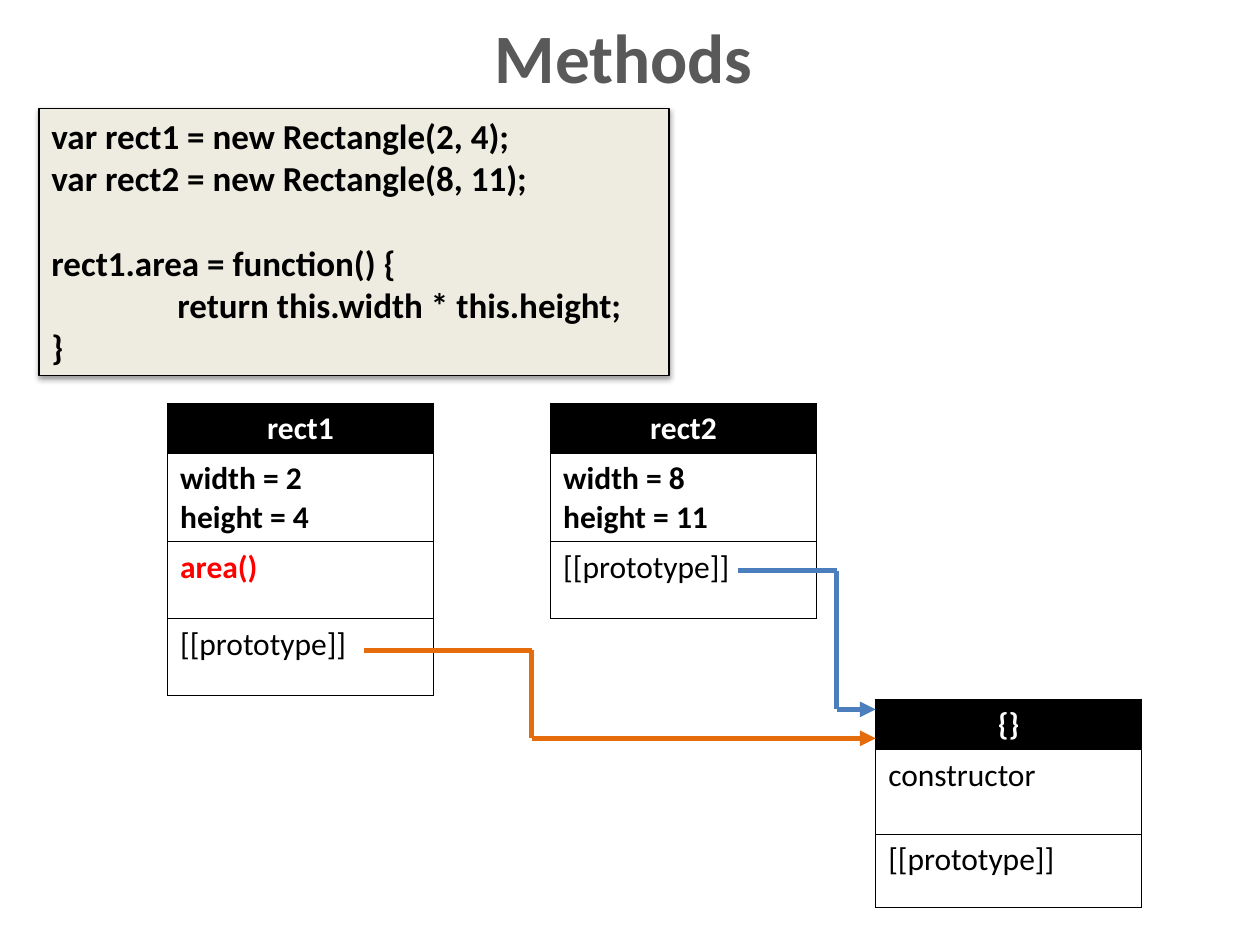
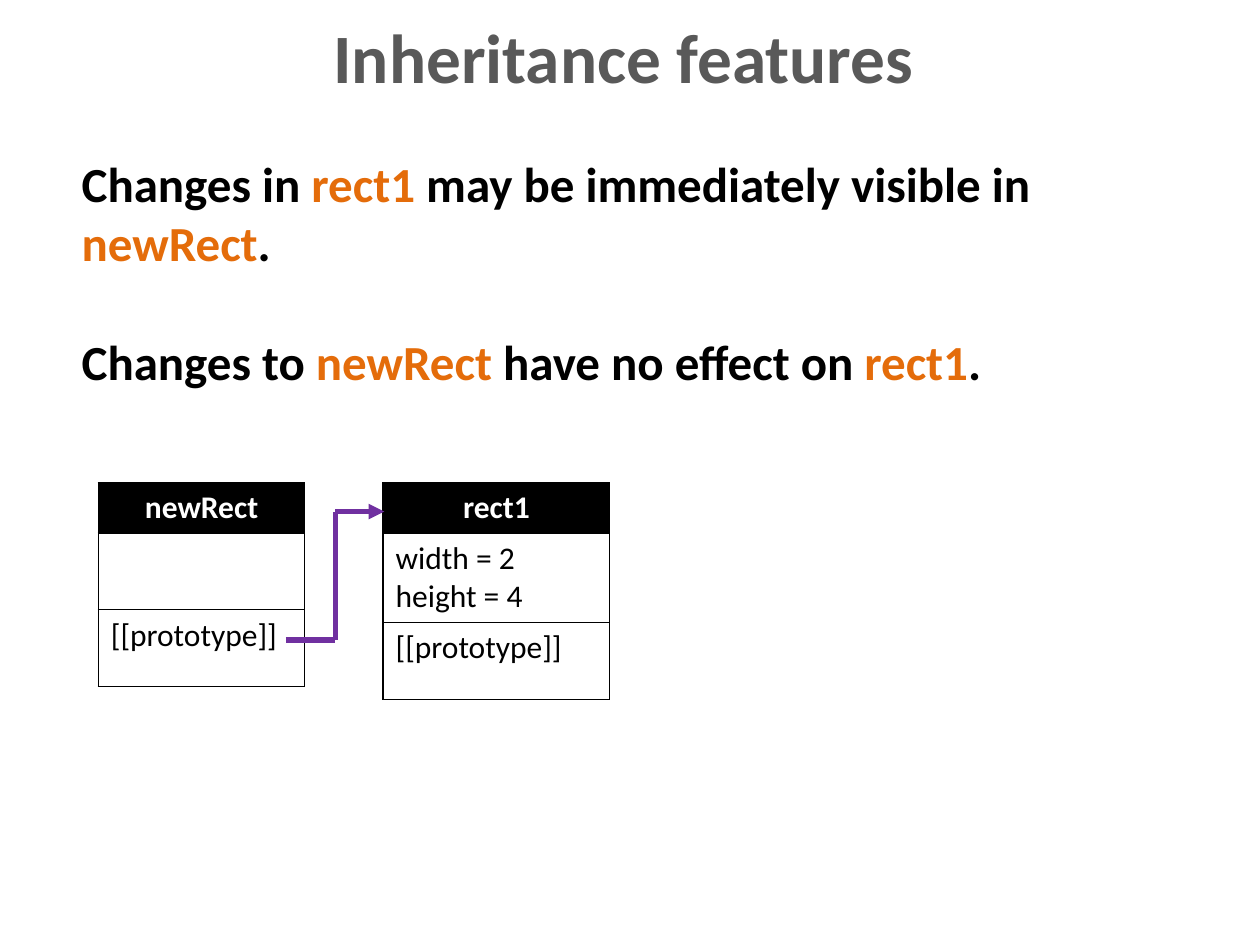
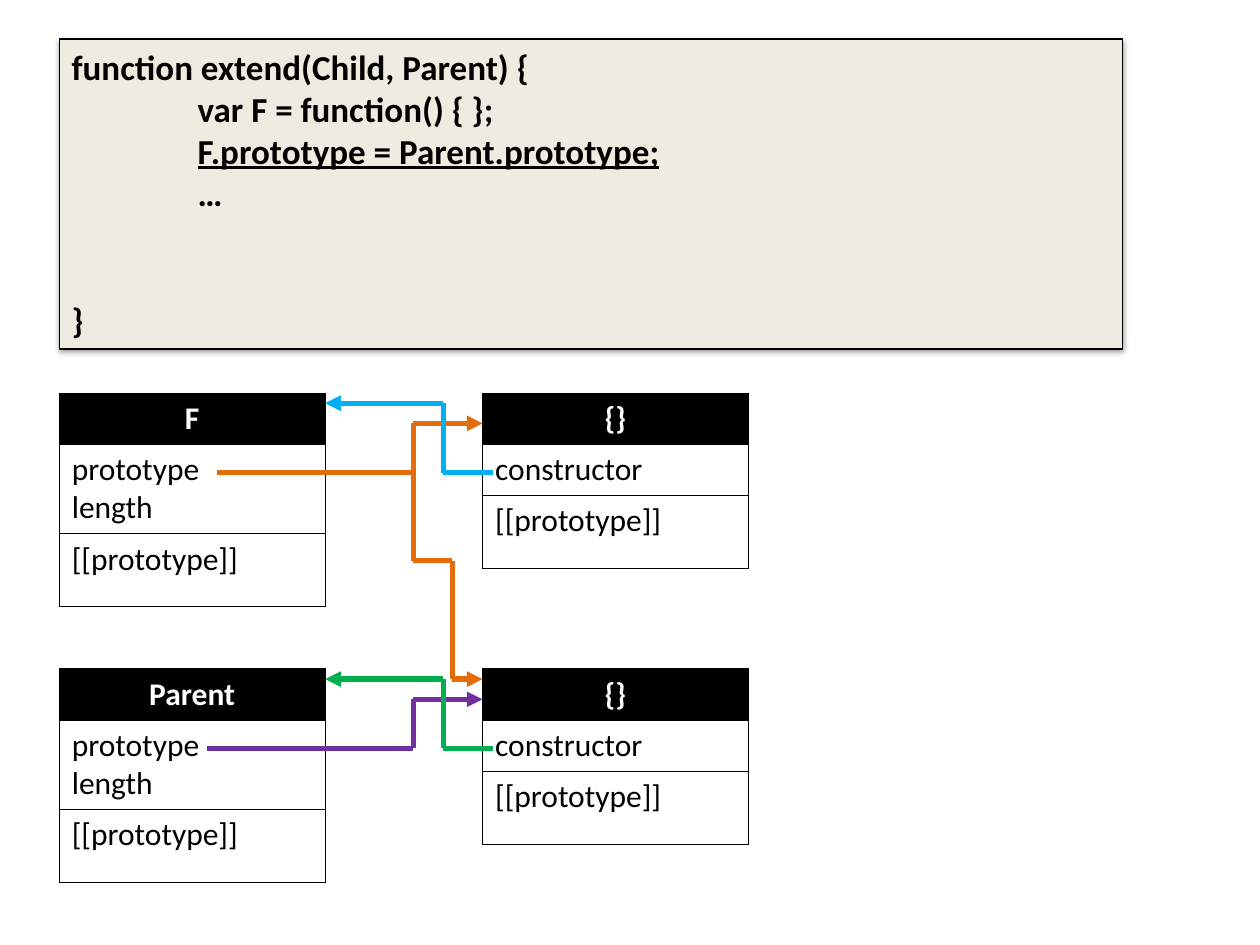
from dataclasses import dataclass
from typing import NamedTuple

from lxml.etree import SubElement
from pptx import Presentation
from pptx.dml.color import RGBColor
from pptx.enum.shapes import MSO_CONNECTOR, MSO_SHAPE
from pptx.enum.text import MSO_ANCHOR, PP_ALIGN
from pptx.oxml import parse_xml
from pptx.oxml.ns import nsdecls, qn
from pptx.util import Inches, Pt

# Shared style
FONT = "Calibri"
BLACK = RGBColor(0x00, 0x00, 0x00)
WHITE = RGBColor(0xFF, 0xFF, 0xFF)
GRAY = RGBColor(0x59, 0x59, 0x59)
CREAM = RGBColor(0xEE, 0xEC, 0xE1)
RED = RGBColor(0xFF, 0x00, 0x00)
ORANGE = RGBColor(0xE4, 0x6C, 0x0A)
BLUE = RGBColor(0x4B, 0x7E, 0xBC)
SKY = RGBColor(0x00, 0xB0, 0xF0)
PURPLE = RGBColor(0x70, 0x30, 0xA0)
GREEN = RGBColor(0x00, 0xB0, 0x50)

TITLE_SIZE, BODY_SIZE, CODE_SIZE, CELL_SIZE = 39.6, 28, 20, 18
LINE_HEIGHT = 1.22
HEADER_HEIGHT = 0.4
OBJECT_WIDTH = 2.11


class Span(NamedTuple):
    text: str
    color: RGBColor = BLACK
    bold: bool = True
    underline: bool = False


class Line(NamedTuple):
    spans: tuple[Span, ...]
    lines_before: int = 0


class Row(NamedTuple):
    height: float
    lines: tuple[Line, ...] = ()


@dataclass
class ObjectTable:
    name: str
    left: float
    top: float
    rows: tuple[Row, ...]
    width: float = OBJECT_WIDTH


@dataclass
class Route:
    color: RGBColor
    points: tuple[tuple[float, float], ...]


def strong(text: str, lines_before: int = 0, color: RGBColor = BLACK) -> Line:
    return Line((Span(text, color),), lines_before)


def plain(text: str) -> Line:
    return Line((Span(text, bold=False),))


def add_tab_stop(para) -> None:
    stops = SubElement(para._p.get_or_add_pPr(), qn("a:tabLst"))
    SubElement(stops, qn("a:tab"), pos=str(Inches(1)), algn="l")


def write_lines(frame, lines: tuple[Line, ...], size: float, align=PP_ALIGN.LEFT) -> None:
    for index, line in enumerate(lines):
        para = frame.paragraphs[0] if index == 0 else frame.add_paragraph()
        para.alignment = align
        if line.lines_before:
            para.space_before = Pt(round(line.lines_before * size * LINE_HEIGHT, 1))
        if line.spans[0].text.startswith("\t"):
            add_tab_stop(para)
        for span in line.spans:
            run = para.add_run()
            run.text = span.text
            run.font.name = FONT
            run.font.size = Pt(size)
            run.font.bold = span.bold
            run.font.underline = span.underline
            run.font.color.rgb = span.color


def add_text(page, left: float, top: float, width: float, height: float,
             lines: tuple[Line, ...], size: float, align=PP_ALIGN.LEFT,
             anchor=MSO_ANCHOR.TOP) -> None:
    box = page.shapes.add_textbox(Inches(left), Inches(top), Inches(width), Inches(height))
    box.text_frame.word_wrap = True
    box.text_frame.vertical_anchor = anchor
    write_lines(box.text_frame, lines, size, align)


def add_title(page, text: str) -> None:
    add_text(page, 0.7, 0.15, 8.5, 0.58, (strong(text, color=GRAY),), TITLE_SIZE,
             PP_ALIGN.CENTER, MSO_ANCHOR.MIDDLE)


def add_code(page, left: float, top: float, width: float, height: float,
             lines: tuple[Line, ...]) -> None:
    box = page.shapes.add_shape(MSO_SHAPE.RECTANGLE, Inches(left), Inches(top),
                                Inches(width), Inches(height))
    box.fill.solid()
    box.fill.fore_color.rgb = CREAM
    box.line.color.rgb = BLACK
    box.line.width = Pt(0.75)
    # Soft shadow straight below
    box._element.spPr.append(parse_xml(
        f'<a:effectLst {nsdecls("a")}><a:outerShdw blurRad="40000" dist="20000" '
        'dir="5400000" rotWithShape="0"><a:srgbClr val="000000">'
        '<a:alpha val="38000"/></a:srgbClr></a:outerShdw></a:effectLst>'))
    box.text_frame.word_wrap = True
    box.text_frame.vertical_anchor = MSO_ANCHOR.TOP
    write_lines(box.text_frame, lines, CODE_SIZE)


def add_borders(cell) -> None:
    properties = cell._tc.get_or_add_tcPr()
    for index, side in enumerate(("lnL", "lnR", "lnT", "lnB")):
        properties.insert(index, parse_xml(
            f'<a:{side} {nsdecls("a")} w="{Pt(0.75)}"><a:solidFill>'
            f'<a:srgbClr val="{BLACK}"/></a:solidFill></a:{side}>'))


def add_object(page, item: ObjectTable) -> None:
    header = Row(HEADER_HEIGHT, (strong(item.name, color=WHITE),))
    rows = (header, *item.rows)
    height = sum(row.height for row in rows)
    table = page.shapes.add_table(len(rows), 1, Inches(item.left), Inches(item.top),
                                  Inches(item.width), Inches(height)).table
    table.horz_banding = False
    for index, row in enumerate(rows):
        table.rows[index].height = Inches(row.height)
        cell = table.cell(index, 0)
        if index == 0:
            cell.fill.solid()
            cell.fill.fore_color.rgb = BLACK
        else:
            cell.fill.background()
        add_borders(cell)
        write_lines(cell.text_frame, row.lines, CELL_SIZE,
                    PP_ALIGN.CENTER if index == 0 else PP_ALIGN.LEFT)


def add_route(page, route: Route) -> None:
    for start, end in zip(route.points, route.points[1:]):
        connector = page.shapes.add_connector(
            MSO_CONNECTOR.STRAIGHT, *(Inches(value) for value in (*start, *end)))
        connector.line.color.rgb = route.color
        connector.line.width = Pt(3)
        if end == route.points[-1]:
            SubElement(connector.line._get_or_add_ln(), qn("a:tailEnd"), type="triangle")
        SubElement(connector._element.spPr, qn("a:effectLst"))


def add_diagram(page, objects: tuple[ObjectTable, ...], routes: tuple[Route, ...]) -> None:
    for item in objects:
        add_object(page, item)
    for route in routes:
        add_route(page, route)


PROTOTYPE = (plain("[[prototype]]"),)


def build_methods(page) -> None:
    add_title(page, "Methods")
    add_code(page, 0.31, 0.86, 5, 2.12, (
        strong("var rect1 = new Rectangle(2, 4);"),
        strong("var rect2 = new Rectangle(8, 11);"),
        strong("rect1.area = function() {", 1),
        strong("\treturn this.width * this.height;"),
        strong("}")))
    add_diagram(page, (
        ObjectTable("rect1", 1.33, 3.2, (
            Row(0.7, (strong("width = 2"), strong("height = 4"))),
            Row(0.61, (strong("area()", color=RED),)),
            Row(0.61, PROTOTYPE))),
        ObjectTable("{}", 6.95, 5.55, (
            Row(0.67, (plain("constructor"),)), Row(0.58, PROTOTYPE))),
        ObjectTable("rect2", 4.37, 3.2, (
            Row(0.7, (strong("width = 8"), strong("height = 11"))),
            Row(0.61, PROTOTYPE))),
    ), (
        Route(ORANGE, ((2.89, 5.16), (4.22, 5.16), (4.22, 5.86), (6.95, 5.86))),
        Route(BLUE, ((5.86, 4.53), (6.64, 4.53), (6.64, 5.63), (6.95, 5.63))),
    ))


def build_inheritance(page) -> None:
    add_title(page, "Inheritance features")
    add_text(page, 0.55, 1.17, 9, 5.58, (
        Line((Span("Changes in "), Span("rect1", ORANGE),
              Span(" may be immediately visible in "), Span("newRect", ORANGE), Span("."))),
        Line((Span("Changes to "), Span("newRect ", ORANGE),
              Span("have no effect on "), Span("rect1", ORANGE), Span(".")), 1),
    ), BODY_SIZE)
    add_diagram(page, (
        ObjectTable("rect1", 3.04, 3.83, (
            Row(0.71, (plain("width = 2"), plain("height = 4"))),
            Row(0.61, PROTOTYPE)), 1.8),
        ObjectTable("newRect", 0.78, 3.83, (Row(0.61), Row(0.61, PROTOTYPE)), 1.64),
    ), (
        Route(PURPLE, ((2.27, 5.08), (2.66, 5.08), (2.66, 4.06), (3.05, 4.06))),
    ))


def build_extend(page) -> None:
    add_code(page, 0.47, 0.31, 8.44, 2.46, (
        strong("function extend(Child, Parent) {"),
        strong("\tvar F = function() { };"),
        Line((Span("\t"), Span("F.prototype = Parent.prototype;", underline=True))),
        strong("\t…"),
        strong("}", 2)))

    # Each function sits beside its prototype object
    function_left, object_left = 0.47, 3.83
    function_right = function_left + OBJECT_WIDTH
    lane, back_lane = 3.28, 3.52
    pairs = (("F", 3.12, 1.72, ORANGE, SKY), ("Parent", 5.31, 1.64, PURPLE, GREEN))
    for name, top, start, color, back_color in pairs:
        middle, entry, back_entry = top + 0.63, top + 0.24, top + 0.08
        add_diagram(page, (
            ObjectTable(name, function_left, top, (
                Row(0.7, (plain("prototype"), plain("length"))), Row(0.58, PROTOTYPE))),
            ObjectTable("{}", object_left, top, (
                Row(0.4, (plain("constructor"),)), Row(0.58, PROTOTYPE))),
        ), (
            Route(color, ((start, middle), (lane, middle),
                          (lane, entry), (object_left, entry))),
            Route(back_color, ((3.91, middle), (back_lane, middle),
                               (back_lane, back_entry), (function_right, back_entry))),
        ))

    # F.prototype also points to the prototype of Parent
    add_route(page, Route(ORANGE, ((lane, 3.75), (lane, 4.45), (3.59, 4.45),
                                   (3.59, 5.39), (object_left, 5.39))))


def main() -> None:
    deck = Presentation()
    deck.slide_width, deck.slide_height = Inches(10), Inches(7.5)
    for build in (build_methods, build_inheritance, build_extend):
        build(deck.slides.add_slide(deck.slide_layouts[6]))
    deck.save("out.pptx")


if __name__ == "__main__":
    main()
